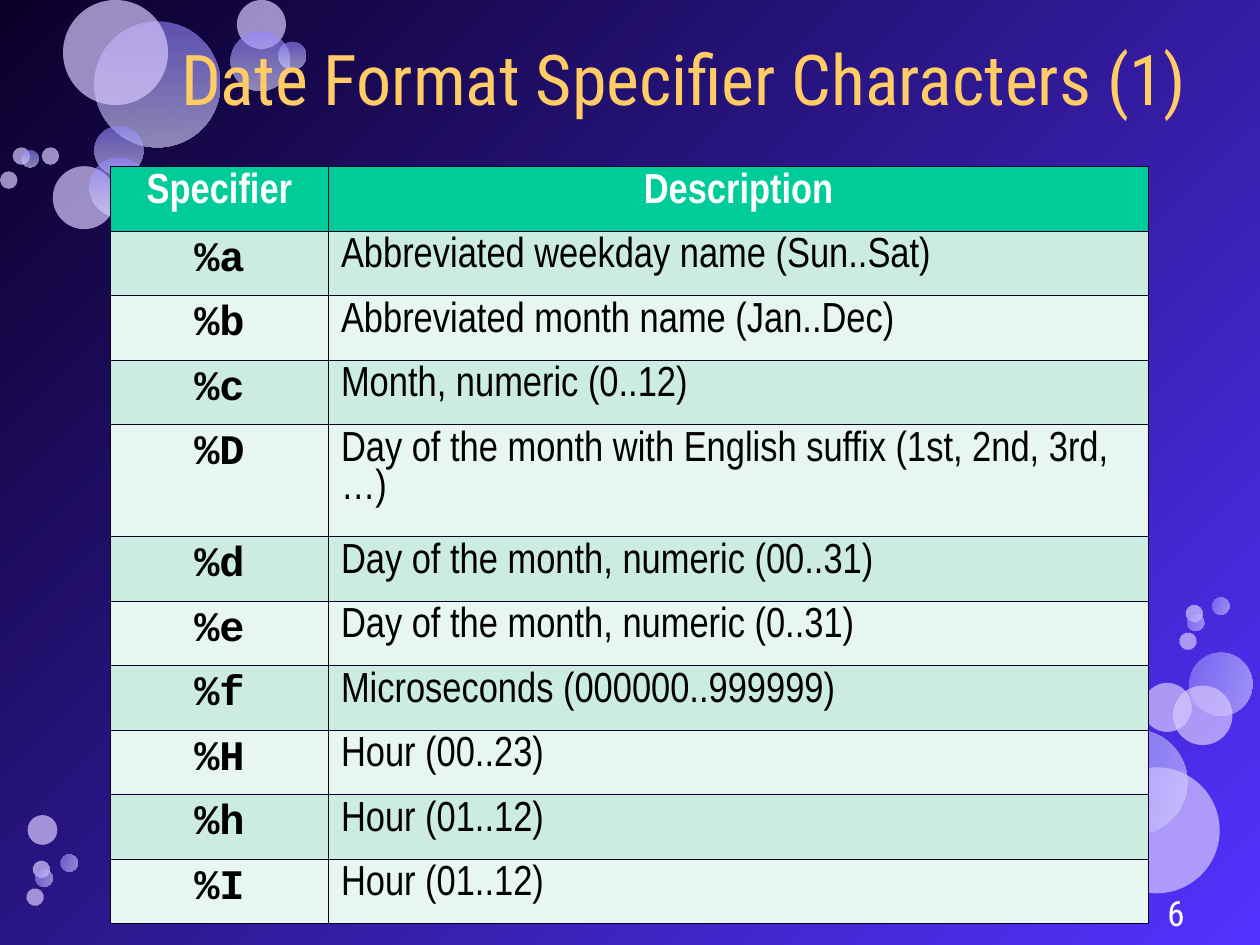
from lxml.etree import SubElement
from pptx import Presentation
from pptx.dml.color import RGBColor
from pptx.enum.shapes import MSO_SHAPE as Shape
from pptx.enum.text import MSO_ANCHOR as Anchor, MSO_AUTO_SIZE as AutoSize, PP_ALIGN as Align
from pptx.oxml import parse_xml
from pptx.oxml.ns import nsdecls, qn
from pptx.util import Pt

COLORS = {
    "night": "0B0029", "violet": "5332FF",
    "bubble": "D7C8FE", "bubble_top": "9185FF", "bubble_bottom": "DEDCFF",
    "title": "FFCC66", "white": "FFFFFF", "black": "000000",
    "header": "00CC99", "band_dark": "CBECDE", "band_light": "E7F6EF",
    "border": "0C002C",
}
TITLE_FONT, TABLE_FONT, CODE_FONT = "Roboto Condensed", "Arial Narrow", "Courier New"

# Bubbles: left, top, diameter, glossy
UPPER_BUBBLES = [
    (54, 12.2, 72, True), (30.2, 95, 36, False), (54, 72, 28, True),
    (51.1, 90, 34, True), (36, 0, 60, False), (135.4, 0, 28, False),
    (131.8, 18, 34, True), (159.1, 23.8, 16, True), (81.4, 120.2, 16, False),
    (7.2, 84.2, 10, False), (72, 138.2, 16, False), (0, 97.9, 10, False),
    (12.2, 85.7, 10, True), (23.8, 84.2, 10, False),
]
LOWER_BUBBLES = [
    (625, 438.5, 72, False), (679.7, 373, 36, True), (653, 390.2, 28, False),
    (670.3, 391.7, 34, False), (618.5, 416.9, 60, True), (15.8, 465.8, 17, False),
    (581.8, 454.3, 34, False), (583.9, 480.2, 16, True), (601.2, 509, 16, False),
    (677.5, 345.6, 10, False), (621.4, 504, 16, False), (692.6, 341.3, 10, True),
    (678.2, 350.6, 10, True), (673.9, 361.4, 10, False), (18.7, 491.8, 10, False),
    (34.6, 488.2, 10, True), (20.2, 496.8, 10, True), (15.1, 507.6, 10, False),
]
SPECIFIERS = [
    ("%a", "Abbreviated weekday name (Sun..Sat)"),
    ("%b", "Abbreviated month name (Jan..Dec)"),
    ("%c", "Month, numeric (0..12)"),
    ("%D", "Day of the month with English suffix (1st, 2nd, 3rd, …)"),
    ("%d", "Day of the month, numeric (00..31)"),
    ("%e", "Day of the month, numeric (0..31)"),
    ("%f", "Microseconds (000000..999999)"),
    ("%H", "Hour (00..23)"),
    ("%h", "Hour (01..12)"),
    ("%I", "Hour (01..12)"),
]
TALL_SPECIFIER = "%D"
ROW_HEIGHT, TALL_ROW_HEIGHT = 36.9, 63.9
COLUMN_WIDTHS = (124.6, 468.7)


def rgb(name):
    return RGBColor.from_string(COLORS[name])


def fill_solid(fill, color):
    fill.solid()
    fill.fore_color.rgb = rgb(color)


def fill_gradient(fill, start, end, angle):
    """Fill with two colours; the angle runs counter-clockwise."""
    fill.gradient()
    fill.gradient_angle = angle
    for stop, color in zip(fill.gradient_stops, (start, end)):
        stop.color.rgb = rgb(color)


def write(text_frame, text, font, size, color, align, spacing, bold=False):
    text_frame.text = text
    paragraph = text_frame.paragraphs[0]
    paragraph.alignment = align
    paragraph.line_spacing = spacing
    for run in paragraph.runs:
        run.font.name = font
        run.font.size = Pt(size)
        run.font.bold = bold
        run.font.color.rgb = rgb(color)


def add_bubble(slide, left, top, diameter, glossy, mirrored):
    bubble = slide.shapes.add_shape(
        Shape.OVAL, Pt(left), Pt(top), Pt(diameter), Pt(diameter))
    bubble.shadow.inherit = False
    bubble.line.fill.background()
    if glossy:
        fill_gradient(bubble.fill, "bubble_top", "bubble_bottom", 270)
    else:
        fill_solid(bubble.fill, "bubble")
    properties = bubble._element.spPr
    for color in properties.iter(qn("a:srgbClr")):
        SubElement(color, qn("a:alpha")).set("val", "60000" if glossy else "70000")
    if mirrored:
        bubble.rotation = 103.3
        properties.find(qn("a:xfrm")).set("flipV", "1")


def add_title(slide, text):
    title = slide.shapes.title
    title.left, title.top, title.width, title.height = Pt(75), Pt(16.5), Pt(631.5), Pt(63.4)
    slide.shapes._spTree.append(title._element)  # in front of the bubbles
    frame = title.text_frame
    frame.margin_left = frame.margin_right = frame.margin_top = frame.margin_bottom = 0
    frame.vertical_anchor = Anchor.MIDDLE
    frame.auto_size = AutoSize.NONE
    frame.word_wrap = True
    write(frame, text, TITLE_FONT, 40, "title", Align.CENTER, 0.85)


def add_borders(cell):
    properties = cell._tc.get_or_add_tcPr()
    for index, side in enumerate(("lnL", "lnR", "lnT", "lnB")):
        properties.insert(index, parse_xml(
            f'<a:{side} {nsdecls("a")} w="{Pt(0.45)}"><a:solidFill>'
            f'<a:srgbClr val="{COLORS["border"]}"/></a:solidFill></a:{side}>'))


def fill_cell(cell, text, fill, font, color, align, spacing, bold):
    write(cell.text_frame, text, font, 24, color, align, spacing, bold)
    fill_solid(cell.fill, fill)
    add_borders(cell)


def add_specifier_table(slide):
    height = ROW_HEIGHT * len(SPECIFIERS) + TALL_ROW_HEIGHT
    table = slide.shapes.add_table(
        len(SPECIFIERS) + 1, 2, Pt(63.1), Pt(95.1), Pt(sum(COLUMN_WIDTHS)), Pt(height)).table
    for column, width in zip(table.columns, COLUMN_WIDTHS):
        column.width = Pt(width)
    table.rows[0].height = Pt(ROW_HEIGHT)
    for cell, heading in zip(table.rows[0].cells, ("Specifier", "Description")):
        fill_cell(cell, heading, "header", TABLE_FONT, "white", Align.CENTER, 0.96, True)
    for index, (specifier, description) in enumerate(SPECIFIERS, start=1):
        tall = specifier == TALL_SPECIFIER
        table.rows[index].height = Pt(TALL_ROW_HEIGHT if tall else ROW_HEIGHT)
        band = "band_dark" if index % 2 else "band_light"
        fill_cell(table.cell(index, 0), specifier, band, CODE_FONT, "black",
                  Align.CENTER, 0.89, True)
        fill_cell(table.cell(index, 1), description, band, TABLE_FONT, "black",
                  Align.LEFT, 0.96, False)


def add_page_number(slide, number):
    box = slide.shapes.add_textbox(Pt(516.2), Pt(513.4), Pt(167.8), Pt(20.2))
    box.text_frame.word_wrap = True
    box.text_frame.vertical_anchor = Anchor.MIDDLE
    write(box.text_frame, number, TITLE_FONT, 20, "white", Align.RIGHT, 0.85)


def main():
    presentation = Presentation()
    presentation.slide_width, presentation.slide_height = Pt(720), Pt(540)
    slide = presentation.slides.add_slide(presentation.slide_layouts[5])
    fill_gradient(slide.background.fill, "night", "violet", 315)
    for bubbles, mirrored in ((UPPER_BUBBLES, False), (LOWER_BUBBLES, True)):
        for bubble in bubbles:
            add_bubble(slide, *bubble, mirrored)
    add_title(slide, "Date Format Specifier Characters (1)")
    add_specifier_table(slide)
    add_page_number(slide, "6")
    presentation.save("out.pptx")


if __name__ == "__main__":
    main()
